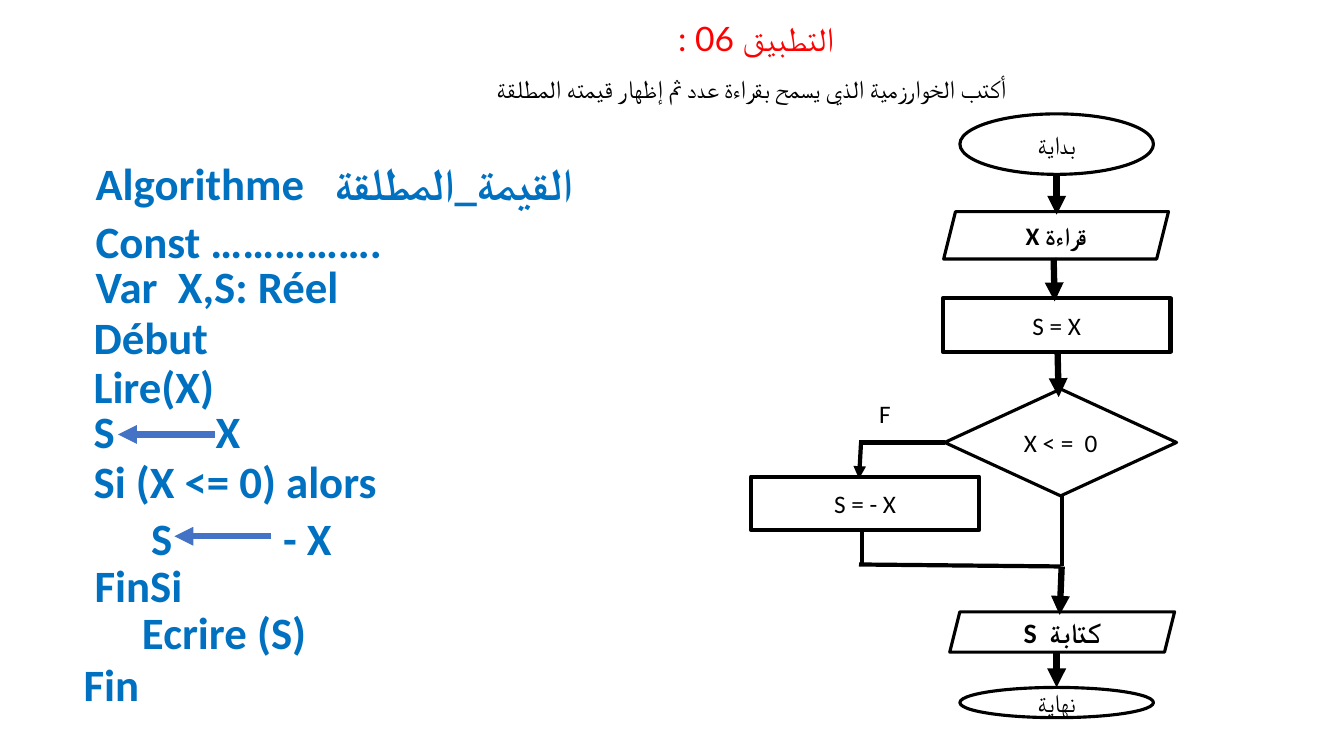
from pptx import Presentation
from pptx.dml.color import RGBColor
from pptx.enum.shapes import MSO_CONNECTOR, MSO_SHAPE
from pptx.enum.text import MSO_ANCHOR, PP_ALIGN
from pptx.oxml.ns import qn
from pptx.util import Pt
from lxml import etree

PX = 9144
BLACK = RGBColor(0x00, 0x00, 0x00)
WHITE = RGBColor(0xFF, 0xFF, 0xFF)
RED = RGBColor(0xFF, 0x00, 0x00)
CODE_BLUE = RGBColor(0x00, 0x70, 0xC0)
ARROW_BLUE = RGBColor(0x44, 0x72, 0xC4)
STRAIGHT = MSO_CONNECTOR.STRAIGHT
ELLIPSE = MSO_SHAPE.OVAL
SLANTED = MSO_SHAPE.PARALLELOGRAM
DIAMOND = MSO_SHAPE.DIAMOND
RECTANGLE = MSO_SHAPE.RECTANGLE
MIDDLE = MSO_ANCHOR.MIDDLE
LEFT, CENTER = PP_ALIGN.LEFT, PP_ALIGN.CENTER


def write(para, text, size=18, font="Calibri", color=BLACK, bold=False,
          align=LEFT, rtl=False, spacing=None, tab=None):
    para.alignment = align
    if spacing:
        para.line_spacing = spacing
    properties = para._p.get_or_add_pPr()
    if rtl:
        properties.set("rtl", "1")
    if tab:
        stops = etree.SubElement(properties, qn("a:tabLst"))
        etree.SubElement(stops, qn("a:tab"), pos=str(tab * PX), algn="l")
    span = para.add_run()
    span.text = text
    span.font.size = Pt(size)
    span.font.name = font
    span.font.bold = bold
    span.font.color.rgb = color
    etree.SubElement(span._r.get_or_add_rPr(), qn("a:cs"), typeface=font)


def add_text_frame(left, top, width, height):
    box = page.shapes.add_textbox(left * PX, top * PX, width * PX, height * PX)
    box.text_frame.word_wrap = True
    return box.text_frame


deck = Presentation()
deck.slide_width = 1333 * PX
deck.slide_height = 750 * PX
page = deck.slides.add_slide(deck.slide_layouts[6])

heading = add_text_frame(250, 13, 991, 96)
write(heading.paragraphs[0], "التطبيق 06 : ", size=24, font="Lato", color=RED,
      align=CENTER, rtl=True)
write(heading.add_paragraph(),
      "أكتب الخوارزمية الذي يسمح بقراءة عدد ثم إظهار قيمته المطلقة",
      align=CENTER, rtl=True, spacing=1.5)

terminal = dict(font="Lato")
exchange = dict(bold=True, rtl=True)
flow_steps = [
    (ELLIPSE, 952, 113, 192, 60, "بداية", terminal),
    (ELLIPSE, 952, 682, 192, 30, "نهاية", terminal),
    (SLANTED, 936, 210, 223, 47, "قراءة X", exchange),
    (SLANTED, 942, 607, 223, 40, "كتابة  S", dict(exchange, size=20)),
    (DIAMOND, 937, 386, 230, 106, "X < =  0", {}),
    (RECTANGLE, 935, 296, 226, 53, "S = X", {}),
    (RECTANGLE, 745, 473, 226, 53, "S = - X", {}),
]
for kind, left, top, width, height, text, style in flow_steps:
    step = page.shapes.add_shape(kind, left * PX, top * PX, width * PX, height * PX)
    step.shadow.inherit = False
    step.line.color.rgb = BLACK
    if kind == RECTANGLE:
        step.fill.background()
        step.line.width = Pt(3)
    else:
        step.fill.solid()
        step.fill.fore_color.rgb = WHITE
        step.line.width = Pt(2.25)
    step.text_frame.word_wrap = True
    step.text_frame.vertical_anchor = MIDDLE
    write(step.text_frame.paragraphs[0], text, align=CENTER, **style)

write(add_text_frame(862, 390, 42, 40).paragraphs[0], "F")

code_lines = [
    (85, 150, "Algorithme\tالقيمة_المطلقة", 237),
    (85, 207, "Const …………….", None),
    (85, 252, "Var  X,S: Réel", None),
    (83, 302, "Début", None),
    (83, 351, "Lire(X)", None),
    (83, 396, "S\tX", 121),
    (83, 445, "Si (X <= 0) alors", None),
    (140, 502, "S\t- X", 131),
    (84, 548, "FinSi", None),
    (131, 595, "Ecrire (S)", None),
    (73, 647, "Fin", None),
]
for left, top, text, tab in code_lines:
    write(add_text_frame(left, top, 615, 64).paragraphs[0], text, size=32,
          color=CODE_BLUE, bold=True, tab=tab)

links = [
    (1048, 172, 1048, 213, BLACK, 4.5, True),
    (1045, 256, 1046, 299, BLACK, 4.5, True),
    (1049, 351, 1050, 394, BLACK, 4.5, True),
    (1053, 562, 1051, 610, BLACK, 4.5, True),
    (1048, 648, 1048, 682, BLACK, 4.5, True),
    (937, 439, 852, 439, BLACK, 3, False),
    (854, 439, 852, 475, BLACK, 3, True),
    (855, 562, 855, 526, BLACK, 3, False),
    (852, 560, 1052, 562, BLACK, 3, False),
    (1053, 562, 1053, 491, BLACK, 3, False),
    (213, 431, 117, 431, ARROW_BLUE, 4.5, True),
    (269, 532, 173, 532, ARROW_BLUE, 4.5, True),
]
for start_x, start_y, end_x, end_y, color, weight, has_arrow in links:
    link = page.shapes.add_connector(STRAIGHT, start_x * PX, start_y * PX,
                                     end_x * PX, end_y * PX)
    link.line.color.rgb = color
    link.line.width = Pt(weight)
    if has_arrow:
        etree.SubElement(link.line._get_or_add_ln(), qn("a:tailEnd"), type="triangle")
    etree.SubElement(link._element.spPr, qn("a:effectLst"))

deck.save("out.pptx")
